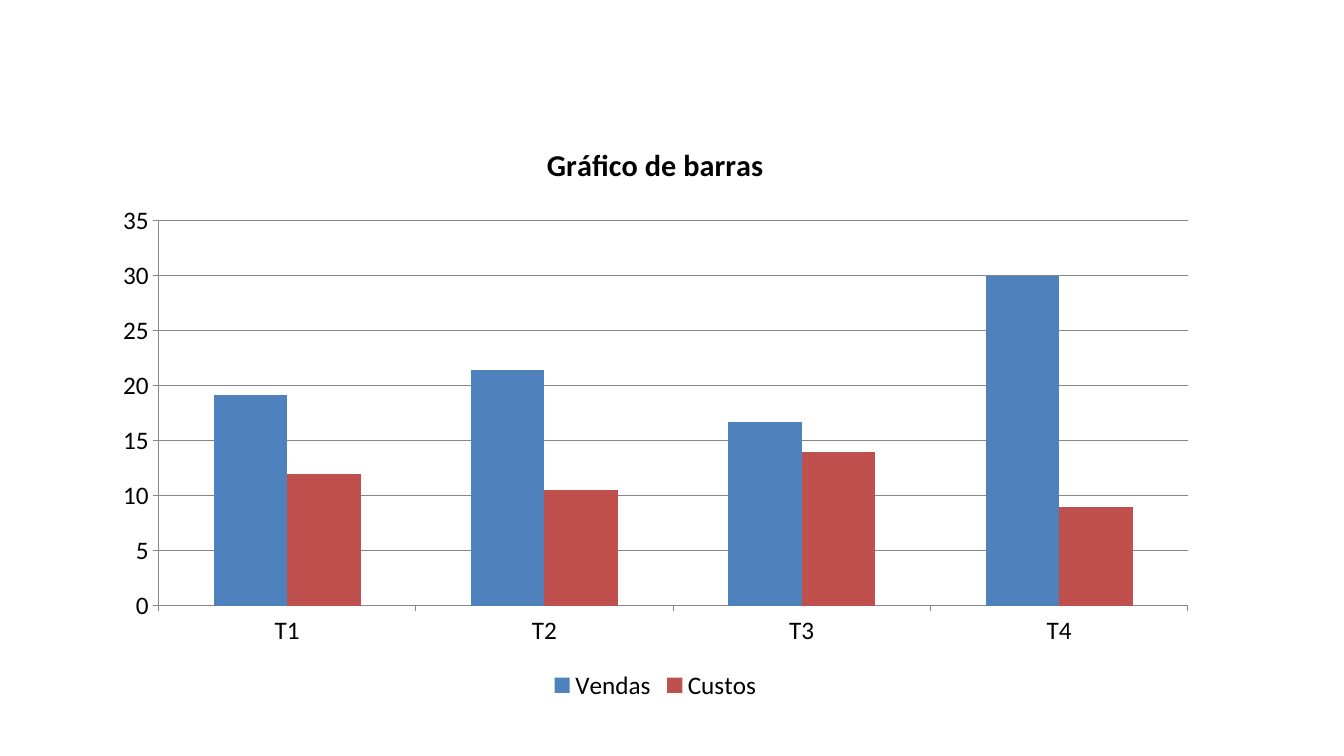
from dataclasses import dataclass

from pptx import Presentation
from pptx.chart.axis import _BaseAxis
from pptx.chart.chart import Chart
from pptx.chart.data import CategoryChartData
from pptx.dml.color import RGBColor
from pptx.dml.line import LineFormat
from pptx.enum.chart import XL_CHART_TYPE, XL_LEGEND_POSITION, XL_TICK_MARK
from pptx.text.text import Font
from pptx.util import Inches, Pt


@dataclass(frozen=True)
class Theme:
    font: str = "Calibri"
    text: RGBColor = RGBColor(0, 0, 0)
    line: RGBColor = RGBColor(0x87, 0x87, 0x87)
    line_width: Pt = Pt(0.75)
    label_size: Pt = Pt(18)
    title_size: Pt = Pt(21.6)


@dataclass(frozen=True)
class Series:
    name: str
    values: tuple[float, ...]
    color: RGBColor


THEME = Theme()
QUARTERS = ("T1", "T2", "T3", "T4")
SERIES = (
    Series("Vendas", (19.2, 21.4, 16.7, 30), RGBColor(0x4F, 0x81, 0xBD)),
    Series("Custos", (12, 10.5, 14, 9), RGBColor(0xC0, 0x50, 0x4D)),
)


def format_font(font: Font, size: Pt, bold: bool = False) -> None:
    for name, value in {"name": THEME.font, "size": size, "bold": bold}.items():
        setattr(font, name, value)
    font.color.rgb = THEME.text


def format_line(line: LineFormat) -> None:
    line.color.rgb = THEME.line
    line.width = THEME.line_width


def format_axis(axis: _BaseAxis) -> None:
    axis.major_tick_mark = XL_TICK_MARK.OUTSIDE
    axis.minor_tick_mark = XL_TICK_MARK.NONE
    format_line(axis.format.line)
    format_font(axis.tick_labels.font, THEME.label_size)


def add_title(chart: Chart, text: str) -> None:
    chart.has_title = True
    p = chart.chart_title.text_frame.paragraphs[0]
    r = p.add_run()
    r.text = text
    format_font(r.font, THEME.title_size, bold=True)


def add_legend(chart: Chart) -> None:
    chart.has_legend = True
    chart.legend.position = XL_LEGEND_POSITION.BOTTOM
    chart.legend.include_in_layout = False
    format_font(chart.legend.font, THEME.label_size)


def main() -> None:
    prs = Presentation()
    prs.slide_width, prs.slide_height = Inches(13.33), Inches(7.5)
    s = prs.slides.add_slide(prs.slide_layouts[6])

    data = CategoryChartData()
    data.categories = QUARTERS
    for series in SERIES:
        data.add_series(series.name, series.values)
    chart = s.shapes.add_chart(
        XL_CHART_TYPE.COLUMN_CLUSTERED,
        Inches(1), Inches(1.2), Inches(11), Inches(5.8), data,
    ).chart
    format_font(chart.font, THEME.label_size)
    add_title(chart, "Gráfico de barras")
    add_legend(chart)

    for axis in (chart.category_axis, chart.value_axis):
        format_axis(axis)
    chart.value_axis.has_major_gridlines = True
    format_line(chart.value_axis.major_gridlines.format.line)

    plot = chart.plots[0]
    plot.gap_width = 150
    plot.vary_by_categories = False
    for bars, series in zip(plot.series, SERIES):
        bars.format.fill.solid()
        bars.format.fill.fore_color.rgb = series.color

    prs.save("out.pptx")


if __name__ == "__main__":
    main()
